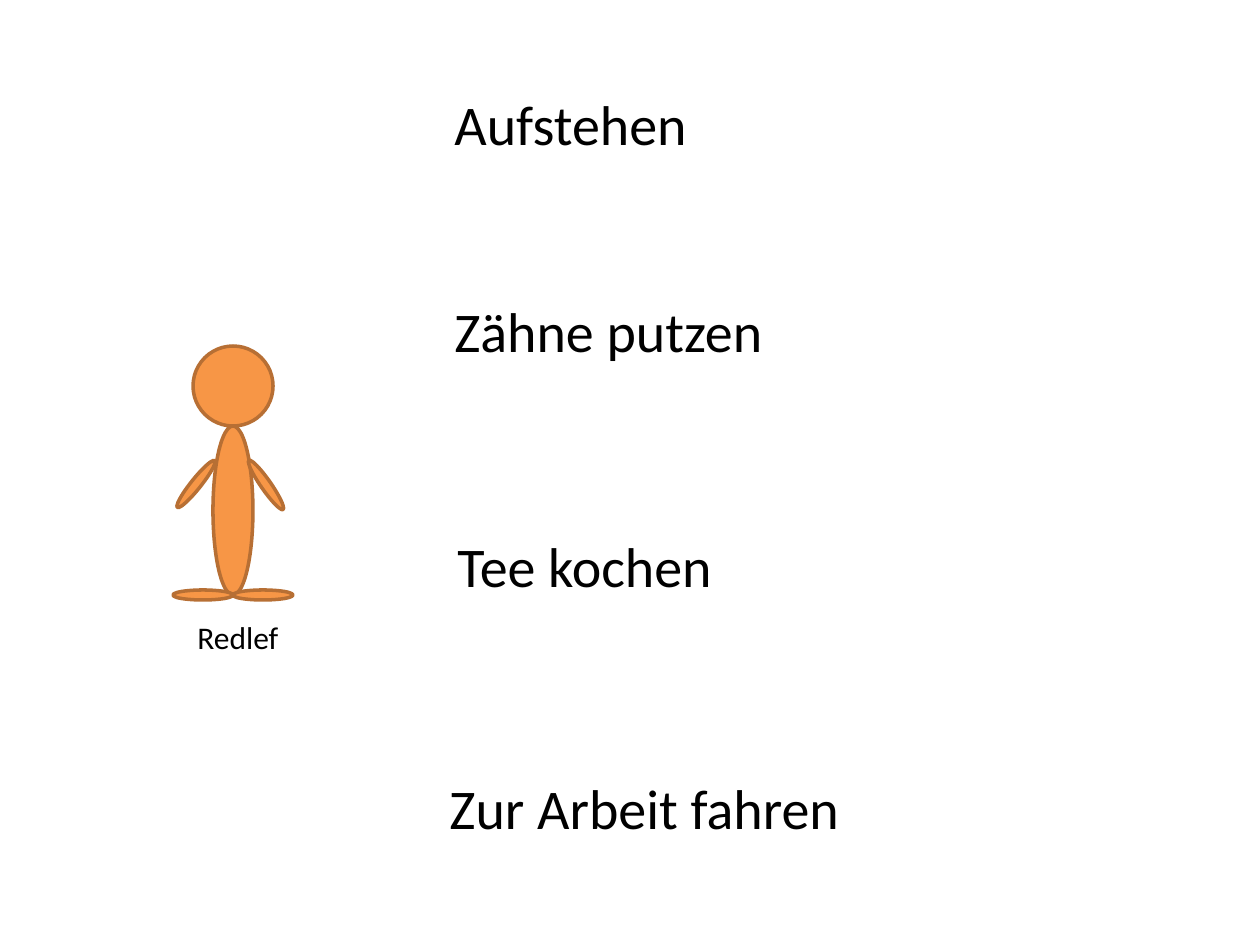
from dataclasses import dataclass

from pptx import Presentation
from pptx import util as u
from pptx.dml.color import RGBColor
from pptx.enum import shapes, text
from pptx.shapes.group import GroupShape
from pptx.slide import Slide

PX_PER_INCH = 126
FONT = "Calibri"
BLACK = "000000"
ORANGE = "F79646"
BROWN = "B76F34"


@dataclass(frozen=True)
class Label:
    words: str
    left: int
    top: int
    width: int
    height: int = 81
    size: int = 32


@dataclass(frozen=True)
class Limb:
    left: int
    top: int
    width: int = 60
    height: int = 10
    rotation: float = 0


LABELS = [
    Label("Aufstehen", 442, 83, 260),
    Label("Zähne putzen", 442, 290, 336),
    Label("Tee kochen", 445, 525, 282),
    Label("Zur Arbeit fahren", 437, 767, 420),
    Label("Redlef", 185, 612, 107, height=50, size=18),
]

HEAD = Limb(193, 346, 80, 80)
BODY = Limb(213, 426, 40, 169)
FEET = [Limb(233, 590), Limb(173, 590)]
ARMS = [Limb(166, 479, rotation=128.6), Limb(236, 480, rotation=55.2)]


def px(length: int) -> u.Emu:
    return u.Emu(round(length * u.Inches(1) / PX_PER_INCH))


def color(hex_code: str) -> RGBColor:
    return RGBColor.from_string(hex_code)


def add_label(slide: Slide, label: Label) -> None:
    box = slide.shapes.add_textbox(
        px(label.left), px(label.top), px(label.width), px(label.height))
    frame = box.text_frame
    frame.word_wrap = False
    frame.auto_size = text.MSO_AUTO_SIZE.SHAPE_TO_FIT_TEXT
    run = frame.paragraphs[0].add_run()
    run.text = label.words
    run.font.name = FONT
    run.font.size = u.Pt(label.size)
    run.font.color.rgb = color(BLACK)


def add_limb(figure: GroupShape, limb: Limb) -> None:
    shape = figure.shapes.add_shape(
        shapes.MSO_SHAPE.OVAL,
        px(limb.left), px(limb.top), px(limb.width), px(limb.height))
    shape.rotation = limb.rotation
    shape.shadow.inherit = False
    shape.fill.solid()
    shape.fill.fore_color.rgb = color(ORANGE)
    shape.line.color.rgb = color(BROWN)
    shape.line.width = u.Pt(2)


def main() -> None:
    presentation = Presentation()
    presentation.slide_width = u.Inches(10)
    presentation.slide_height = u.Inches(7.5)
    blank_layout = presentation.slide_layouts[6]
    slide = presentation.slides.add_slide(blank_layout)

    figure = slide.shapes.add_group_shape()
    for limb in [HEAD, BODY, *FEET, *ARMS]:
        add_limb(figure, limb)
    for label in LABELS:
        add_label(slide, label)

    presentation.save("out.pptx")


if __name__ == "__main__":
    main()
